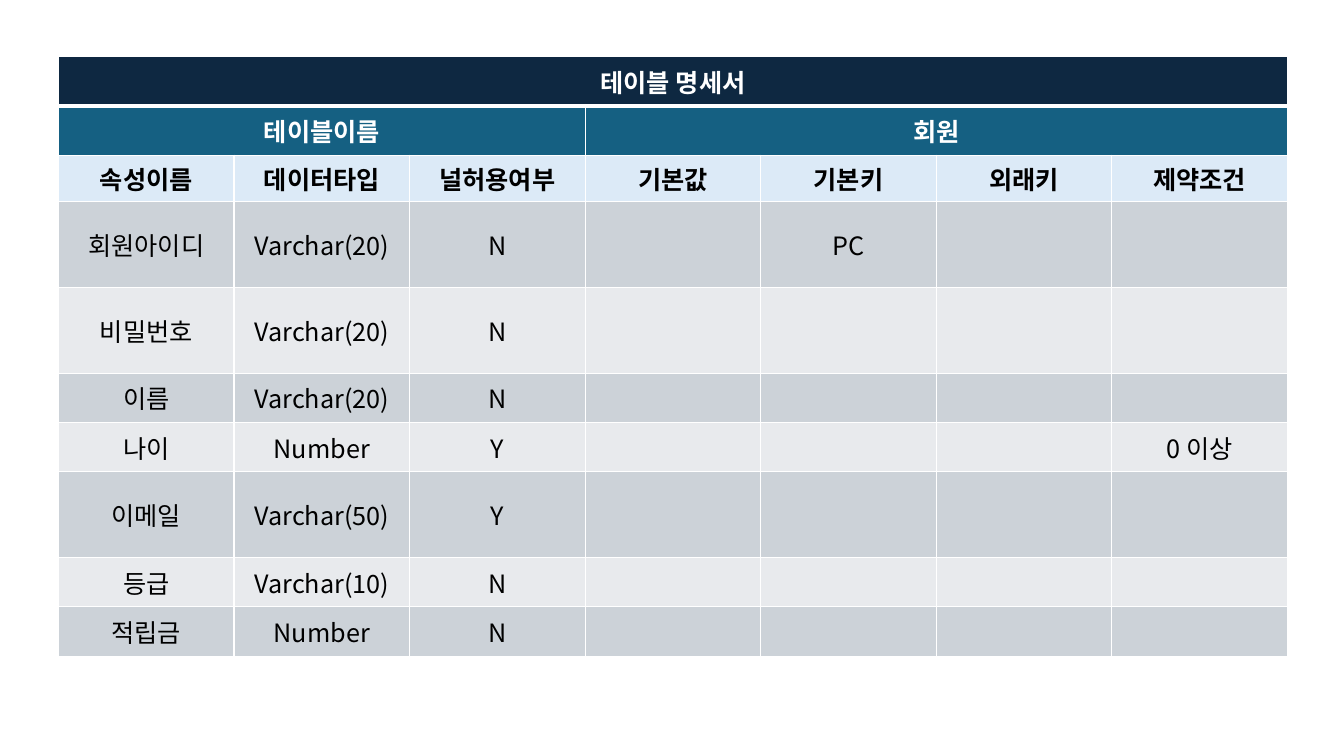
import pptx
import pptx.util
import pptx.dml.color
import pptx.enum.text
import pptx.oxml.ns
import lxml.etree as etree

Inches = pptx.util.Inches
FONT = "Noto Sans CJK KR"
WHITE, BLACK = "FFFFFF", "000000"
NAVY, TEAL, PALE = "0E2841", "156082", "DCEAF7"
BANDS = ["CCD2D8", "E8EAED"]
COLS = 7
WIDTH = 12.19
HEADS = ["속성이름", "데이터타입", "널허용여부", "기본값", "기본키", "외래키", "제약조건"]
FIELDS = [
    (0.85, ["회원아이디", "Varchar(20)", "N", "", "PC", "", ""]),
    (0.85, ["비밀번호", "Varchar(20)", "N", "", "", "", ""]),
    (0.49, ["이름", "Varchar(20)", "N", "", "", "", ""]),
    (0.49, ["나이", "Number", "Y", "", "", "", "0 이상"]),
    (0.85, ["이메일", "Varchar(50)", "Y", "", "", "", ""]),
    (0.49, ["등급", "Varchar(10)", "N", "", "", "", ""]),
    (0.49, ["적립금", "Number", "N", "", "", "", ""]),
]


def color(code):
    """Return the colour for a hex string."""
    return pptx.dml.color.RGBColor.from_string(code)


def add_node(parent, tag, **attrs):
    """Append a drawing element to parent."""
    return etree.SubElement(parent, pptx.oxml.ns.qn(tag), **attrs)


def set_edges(cell, top, bottom):
    """Draw white borders, with the given widths above and below."""
    props = cell._tc.get_or_add_tcPr()
    for side, width in zip("LRTB", (1, 1, top, bottom)):
        line = add_node(props, "a:ln" + side, w=str(pptx.util.Pt(width)))
        add_node(add_node(line, "a:solidFill"), "a:srgbClr", val=WHITE)


def set_text(cell, text, ink, bold):
    """Write centred text in a cell."""
    cell.vertical_anchor = pptx.enum.text.MSO_ANCHOR.MIDDLE
    para = cell.text_frame.paragraphs[0]
    para.text = text
    para.alignment = pptx.enum.text.PP_ALIGN.CENTER
    for run in para.runs:
        run.font.size = pptx.util.Pt(18)
        run.font.bold = bold
        run.font.color.rgb = color(ink)
        run.font.name = FONT
        add_node(run.font._element, "a:ea", typeface=FONT)


def fill_row(table, row, texts, fill, ink=BLACK, bold=False, top=1, bottom=1):
    """Style one row and write its texts."""
    for col, text in enumerate(texts):
        cell = table.cell(row, col)
        set_edges(cell, top, bottom)
        cell.fill.solid()
        cell.fill.fore_color.rgb = color(fill)
        if text:
            set_text(cell, text, ink, bold)


def add_grid(slide, left, top, heights):
    """Add a table with equal columns and the given row heights."""
    frame = slide.shapes.add_table(
        len(heights), COLS, Inches(left), Inches(top),
        Inches(WIDTH), Inches(sum(heights)))
    table = frame.table
    for col in table.columns:
        col.width = Inches(WIDTH / COLS)
    for row, height in zip(table.rows, heights):
        row.height = Inches(height)
    return table


def main():
    """Build the table sheet and save it."""
    deck = pptx.Presentation()
    deck.slide_width, deck.slide_height = Inches(13.33), Inches(7.5)
    slide = deck.slides.add_slide(deck.slide_layouts[6])
    heights = [0.49, 0.49, 0.46] + [height for height, texts in FIELDS]
    table = add_grid(slide, 0.58, 0.56, heights)
    for row, first, last in [(0, 0, 6), (1, 0, 2), (1, 3, 6)]:
        table.cell(row, first).merge(table.cell(row, last))
    title = ["테이블 명세서"] + [""] * 6
    names = ["테이블이름", "", "", "회원", "", "", ""]
    fill_row(table, 0, title, NAVY, WHITE, True, bottom=3)
    fill_row(table, 1, names, TEAL, WHITE, True, top=3)
    fill_row(table, 2, HEADS, PALE, bold=True)
    for index, (height, texts) in enumerate(FIELDS):
        fill_row(table, index + 3, texts, BANDS[index % 2])
    deck.save("out.pptx")


if __name__ == "__main__":
    main()
